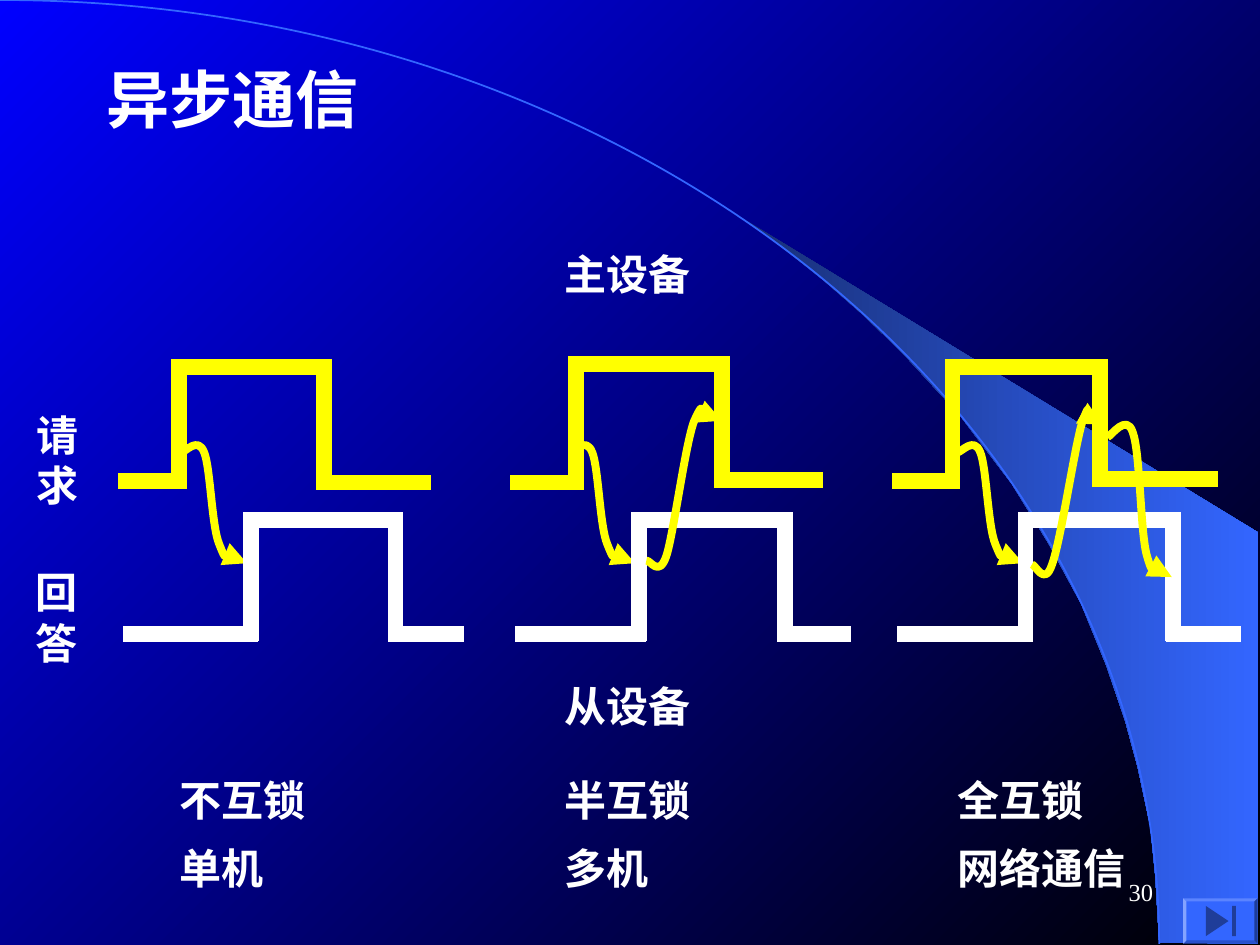
from dataclasses import dataclass

from lxml.etree import SubElement
from pptx import Presentation
from pptx.dml.color import RGBColor
from pptx.enum.shapes import MSO_CONNECTOR, MSO_SHAPE
from pptx.enum.text import MSO_ANCHOR, MSO_AUTO_SIZE, PP_ALIGN
from pptx.oxml.ns import qn
from pptx.util import Inches, Pt


@dataclass(frozen=True)
class Theme:
    font: str = "Times New Roman"
    white: str = "FFFFFF"
    yellow: str = "FFFF00"
    blue: str = "3366FF"
    icon: str = "1F3D99"
    background: tuple = ("0000FF", "000000")
    band: tuple = ("182F76", "3366FF")
    title_size: int = 36
    label_size: int = 24
    number_size: int = 14
    wave_width: float = 9
    arrow_width: float = 4.5
    arc_width: float = 1


THEME = Theme()

# left, top, width, height, size, lines
LABELS = [
    (0.75, 0.43, 3.07, 0.7, THEME.title_size, ["异步通信"]),
    (4.38, 1.92, 2.53, 0.5, THEME.label_size, ["主设备"]),
    (4.38, 5.35, 2.95, 0.5, THEME.label_size, ["从设备"]),
    (0.19, 3.2, 0.53, 0.9, THEME.label_size, ["请", "求"]),
    (0.18, 4.45, 0.53, 0.9, THEME.label_size, ["回", "答"]),
]
CAPTION_TOPS = (6.1, 6.64)
CAPTIONS = [
    (1.33, ("不互锁", "单机")),
    (4.38, ("半互锁", "多机")),
    (7.5, ("全互锁", "网络通信")),
]
PAGE_NUMBER = "30"

# start, rise, fall, end, top, base before the pulse, base after it
REQUEST_WAVES = [
    (0.94, 1.42, 2.57, 3.42, 2.91, 3.82, 3.83),
    (4.05, 4.57, 5.73, 6.53, 2.89, 3.83, 3.81),
    (7.08, 7.56, 8.73, 9.67, 2.91, 3.82, 3.8),
]
ANSWER_WAVES = [
    (0.98, 1.99, 3.14, 3.68, 4.13, 5.03, 5.03),
    (4.09, 5.07, 6.23, 6.75, 4.13, 5.03, 5.03),
    (7.12, 8.14, 9.31, 9.85, 4.13, 5.03, 5.03),
]
OVERLAP = 0.06

# Bezier curves: a start point, then three points for each piece
REQUEST_CURVE = [(1.44, 3.59), (1.47, 3.59), (1.57, 3.46), (1.62, 3.59),
                 (1.67, 3.71), (1.68, 4.18), (1.74, 4.32),
                 (1.8, 4.47), (1.91, 4.44), (1.96, 4.47)]
REQUEST_SHIFTS = (0, 3.08, 6.16)
REPLY_CURVES = [
    [(5.13, 4.45), (5.16, 4.44), (5.23, 4.59), (5.29, 4.41),
     (5.35, 4.22), (5.44, 3.52), (5.51, 3.34),
     (5.59, 3.17), (5.7, 3.34), (5.73, 3.34)],
    [(8.19, 4.48), (8.22, 4.48), (8.29, 4.66), (8.35, 4.48),
     (8.42, 4.29), (8.53, 3.54), (8.59, 3.35),
     (8.66, 3.17), (8.72, 3.36), (8.75, 3.37)],
    [(8.79, 3.47), (8.82, 3.46), (8.94, 3.28), (8.99, 3.43),
     (9.05, 3.59), (9.05, 4.21), (9.1, 4.4),
     (9.15, 4.58), (9.27, 4.51), (9.3, 4.54),
     (9.33, 4.57), (9.3, 4.57), (9.3, 4.58)],
]
ARC = [(0, 0), (5.08, 0), (9.2, 3.35), (9.2, 7.49)]
BAND = [(9.2, 7.48), (9.99, 7.49), (9.99, 4.23), (5.89, 1.73), (6.24, 1.99),
        (6.53, 2.22), (6.85, 2.5), (7.16, 2.8), (7.62, 3.3), (8.03, 3.84),
        (8.32, 4.31), (8.58, 4.79), (8.78, 5.28), (8.93, 5.72), (9.03, 6.09),
        (9.13, 6.56), (9.17, 6.96)]
BUTTON = (9.39, 7.13, 0.59, 0.36)
BUTTON_TRIANGLE = [(9.75, 7.31), (9.57, 7.43), (9.57, 7.19)]
BUTTON_BAR = (9.78, 7.19, 0.03, 0.24)


def color(value):
    return RGBColor.from_string(value)


def fill_gradient(fill, colors, angle):
    fill.gradient()
    fill.gradient_angle = angle
    for stop, value in zip(fill.gradient_stops, colors):
        stop.color.rgb = color(value)


def fill_plain(shape, value):
    shape.shadow.inherit = False
    shape.fill.solid()
    shape.fill.fore_color.rgb = color(value)
    shape.line.fill.background()


def style_line(shape, value, width):
    shape.line.color.rgb = color(value)
    shape.line.width = Pt(width)


def add_outline(slide, points, closed):
    (left, top), *others = [(Inches(x), Inches(y)) for x, y in points]
    builder = slide.shapes.build_freeform(left, top)
    builder.add_line_segments(others, close=closed)
    shape = builder.convert_to_shape()
    shape.shadow.inherit = False
    return shape


def add_curve(slide, points, value, width, arrow=False):
    """Draw an outline whose straight pieces are merged by threes into Beziers."""
    shape = add_outline(slide, points, closed=False)
    shape.fill.background()
    style_line(shape, value, width)
    pieces = shape.element.xpath(".//a:path/a:lnTo")
    for first in range(0, len(pieces), 3):
        bezier = pieces[first]
        bezier_parent = bezier.getparent()
        curve = SubElement(bezier_parent, qn("a:cubicBezTo"))
        for piece in pieces[first:first + 3]:
            curve.append(piece[0])
            bezier_parent.remove(piece)
    if arrow:
        SubElement(shape.line._get_or_add_ln(), qn("a:tailEnd"), type="triangle")


def add_wave(slide, wave, value):
    start, rise, fall, end, top, base_before, base_after = wave
    for ends in [
        (start, base_before, rise + OVERLAP, base_before),
        (rise, top - OVERLAP, rise, base_before + OVERLAP),
        (rise - OVERLAP, top, fall + OVERLAP, top),
        (fall, top - OVERLAP, fall, base_after + OVERLAP),
        (fall - OVERLAP, base_after, end, base_after),
    ]:
        line = slide.shapes.add_connector(MSO_CONNECTOR.STRAIGHT, *map(Inches, ends))
        style_line(line, value, THEME.wave_width)
        SubElement(line.element.spPr, qn("a:effectLst"))


def add_label(slide, box, size, lines, bold=True, **paragraph_format):
    frame = slide.shapes.add_textbox(*map(Inches, box)).text_frame
    frame.word_wrap = len(lines) == 1
    frame.auto_size = MSO_AUTO_SIZE.SHAPE_TO_FIT_TEXT if bold else MSO_AUTO_SIZE.NONE
    frame.vertical_anchor = MSO_ANCHOR.TOP if bold else MSO_ANCHOR.MIDDLE
    frame.text = "\n".join(lines)
    for paragraph in frame.paragraphs:
        for name, setting in paragraph_format.items():
            setattr(paragraph, name, setting)
        font = paragraph.runs[0].font
        for name, setting in {"name": THEME.font, "size": Pt(size), "bold": bold}.items():
            setattr(font, name, setting)
        font.color.rgb = color(THEME.white)


def add_button(slide):
    button = slide.shapes.add_shape(MSO_SHAPE.BEVEL, *map(Inches, BUTTON))
    button.adjustments[0] = 0.07
    fill_plain(button, THEME.blue)
    fill_plain(add_outline(slide, BUTTON_TRIANGLE, closed=True), THEME.icon)
    bar = slide.shapes.add_shape(MSO_SHAPE.RECTANGLE, *map(Inches, BUTTON_BAR))
    fill_plain(bar, THEME.icon)


def main():
    presentation = Presentation()
    presentation.slide_width, presentation.slide_height = Inches(10), Inches(7.5)
    slide = presentation.slides.add_slide(presentation.slide_layouts[6])
    fill_gradient(slide.background.fill, THEME.background, 315)

    band = add_outline(slide, BAND, closed=True)
    fill_gradient(band.fill, THEME.band, 0)
    band.line.fill.background()
    add_curve(slide, ARC, THEME.blue, THEME.arc_width)

    for wave in REQUEST_WAVES:
        add_wave(slide, wave, THEME.yellow)
    for shift in REQUEST_SHIFTS:
        points = [(x + shift, y) for x, y in REQUEST_CURVE]
        add_curve(slide, points, THEME.yellow, THEME.arrow_width, arrow=True)
    for wave in ANSWER_WAVES:
        add_wave(slide, wave, THEME.white)
    for points in REPLY_CURVES:
        add_curve(slide, points, THEME.yellow, THEME.arrow_width, arrow=True)

    for *box, size, lines in LABELS:
        add_label(slide, box, size, lines)
    for left, captions in CAPTIONS:
        for top, caption in zip(CAPTION_TOPS, captions):
            add_label(slide, (left, top, 1.67, 0.5), THEME.label_size, [caption])
    add_button(slide)
    add_label(slide, (7.17, 6.83, 2.08, 0.5), THEME.number_size, [PAGE_NUMBER],
              bold=False, alignment=PP_ALIGN.RIGHT)
    presentation.save("out.pptx")


if __name__ == "__main__":
    main()
